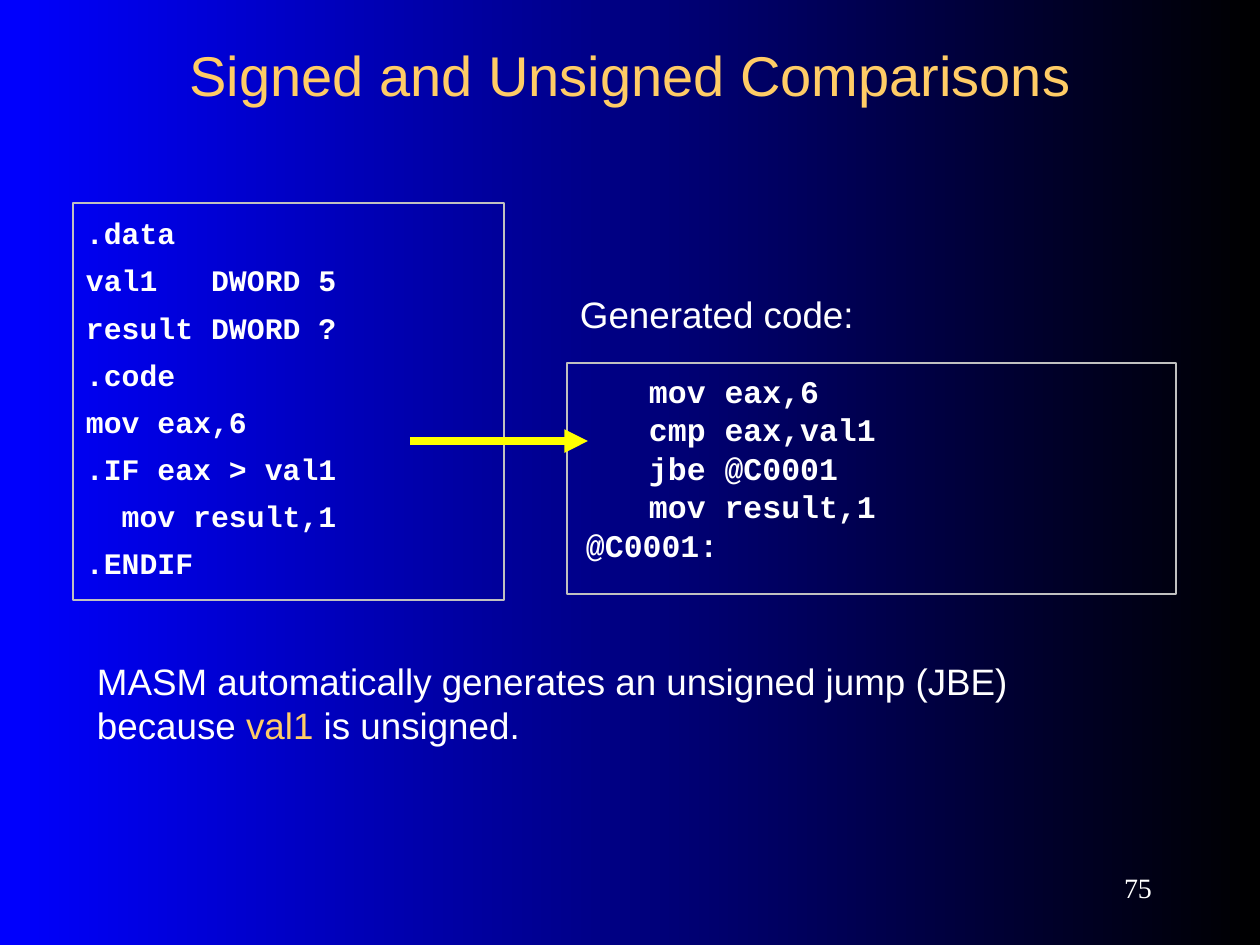
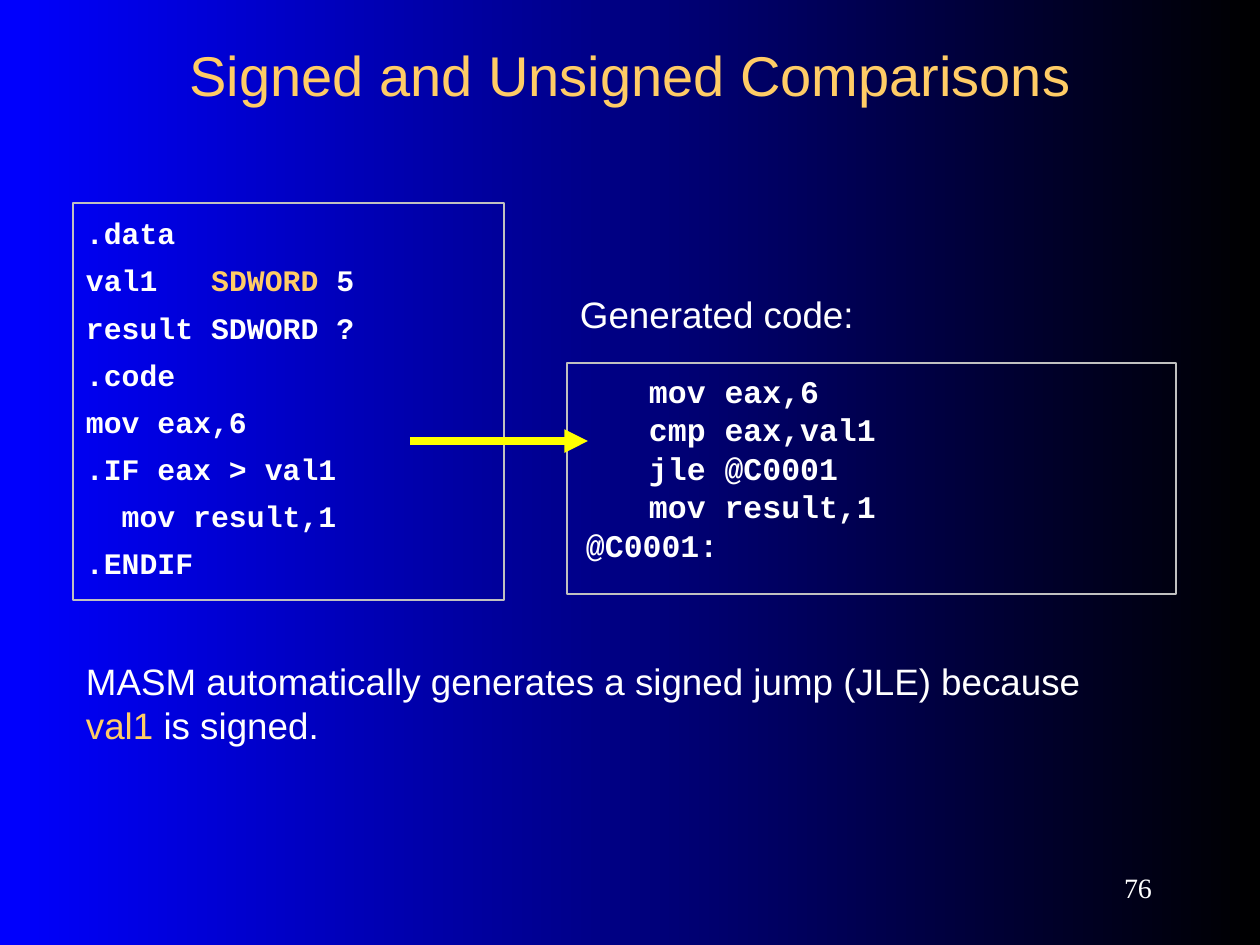
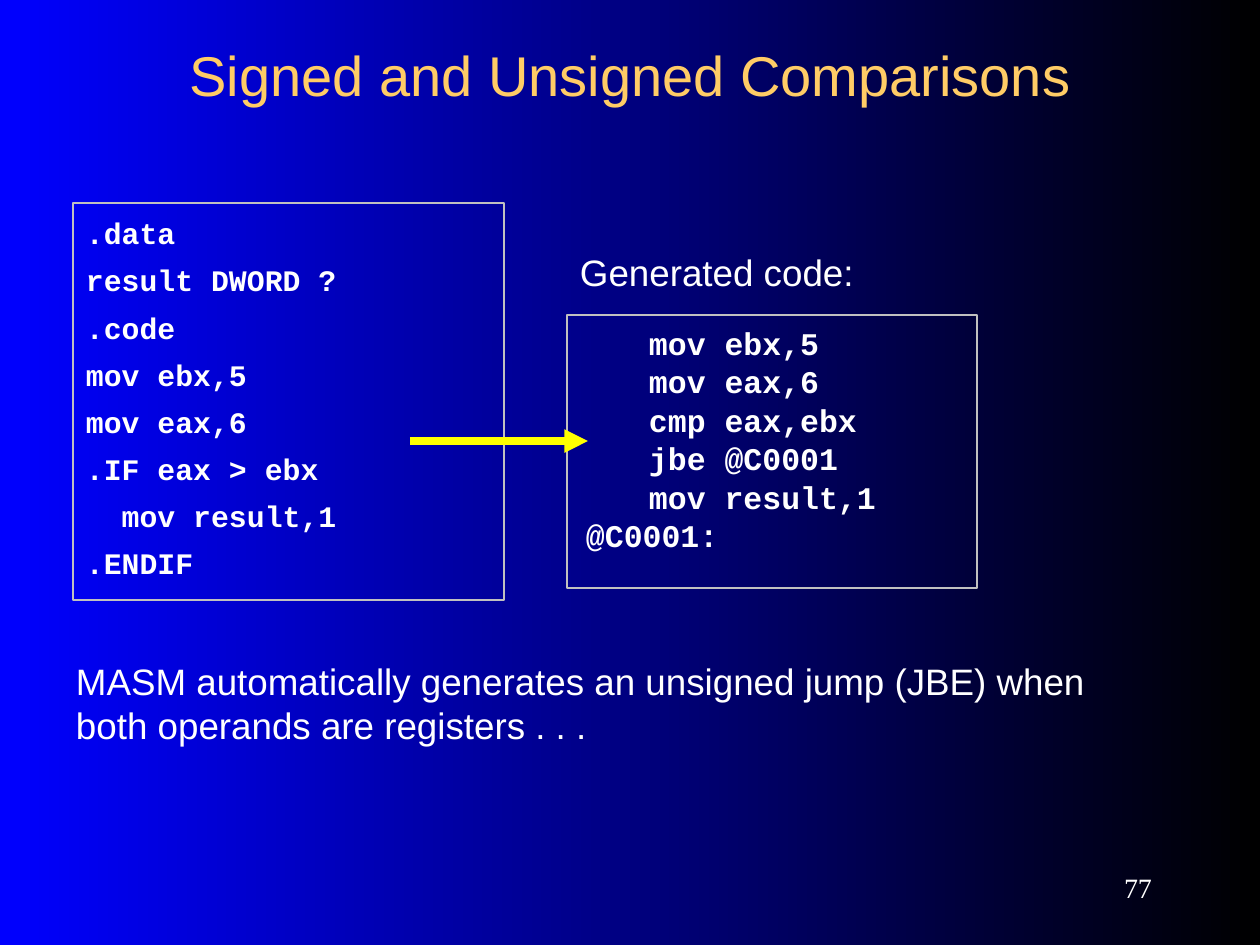
import dataclasses

import pptx
import pptx.dml.color
import pptx.enum.shapes
import pptx.enum.text
import pptx.oxml
import pptx.oxml.ns
import pptx.util

SCALE = 914400 / 126
ANCHOR = pptx.enum.text.MSO_ANCHOR
ALIGN = pptx.enum.text.PP_ALIGN
AUTO_SIZE = pptx.enum.text.MSO_AUTO_SIZE


def px(length):
    return pptx.util.Emu(round(length * SCALE))


def color(value):
    return pptx.dml.color.RGBColor.from_string(value)


def element(tag, **attributes):
    node = pptx.oxml.parse_xml(f"<a:{tag} {pptx.oxml.ns.nsdecls('a')}/>")
    for name, value in attributes.items():
        node.set(name, str(value))
    return node


@dataclasses.dataclass(frozen=True)
class TextStyle:
    size: int
    font: str = "Arial"
    color: str = "FFFFFF"
    bold: bool = False
    align: ALIGN = ALIGN.LEFT
    anchor: ANCHOR = ANCHOR.TOP
    margins: tuple = (13, 19)
    line_spacing: float = 1.0
    space_before: float = 0
    tab: int = 0
    grow: bool = False


@dataclasses.dataclass(frozen=True)
class Theme:
    background: tuple = ("000000", "0000FF")
    accent: str = "FFCC66"
    border: str = "C0C0C0"
    border_width: float = 0.75
    arrow: str = "FFFF00"
    arrow_width: float = 4.5
    title: TextStyle = TextStyle(
        32, color="FFCC66", align=ALIGN.CENTER, anchor=ANCHOR.MIDDLE, margins=(13, 6))
    body: TextStyle = TextStyle(21, grow=True)
    source: TextStyle = TextStyle(
        17, "Courier New", bold=True, line_spacing=0.8, space_before=10.6, grow=True)
    generated: TextStyle = TextStyle(
        18, "Courier New", bold=True, margins=(19, 25),
        line_spacing=0.5, space_before=11.2, tab=63)
    number: TextStyle = TextStyle(
        16, "Times New Roman", align=ALIGN.RIGHT, anchor=ANCHOR.MIDDLE, margins=(13, 6))


@dataclasses.dataclass(frozen=True)
class Comparison:
    data: tuple
    setup: tuple
    operand: str
    jump: str
    note: str
    note_left: int
    label_top: int = 273
    generated_area: tuple = (567, 363, 609, 231)

    def source_lines(self):
        return [".data", *self.data, ".code", *self.setup,
                f".IF eax > {self.operand}", "  mov result,1", ".ENDIF"]

    def generated_lines(self):
        steps = [*self.setup, f"cmp eax,{self.operand}",
                 f"{self.jump} @C0001", "mov result,1"]
        return [f"\t{step}" for step in steps] + ["@C0001:"]


class SlideBuilder:
    def __init__(self, deck, theme):
        self.deck = deck
        self.theme = theme
        self.slide = None

    def start(self, title, number):
        self.slide = self.deck.slides.add_slide(self.deck.slide_layouts[6])
        fill = self.slide.background.fill
        fill.gradient()
        fill.gradient_angle = 180
        for stop, value in zip(fill.gradient_stops, self.theme.background):
            stop.color.rgb = color(value)
        self.text((95, 32, 1071, 84), [title], self.theme.title)
        self.text((1029, 861, 136, 53), [str(number)], self.theme.number)

    def text(self, area, lines, style):
        box = self.slide.shapes.add_textbox(*map(px, area))
        self.fill_frame(box.text_frame, lines, style)

    def code(self, area, lines, style):
        box = self.slide.shapes.add_shape(
            pptx.enum.shapes.MSO_SHAPE.RECTANGLE, *map(px, area))
        box.shadow.inherit = False
        box.fill.background()
        box.line.color.rgb = color(self.theme.border)
        box.line.width = pptx.util.Pt(self.theme.border_width)
        self.fill_frame(box.text_frame, lines, style)

    def arrow(self, left, right, y):
        connector = self.slide.shapes.add_connector(
            pptx.enum.shapes.MSO_CONNECTOR.STRAIGHT, px(left), px(y), px(right), px(y))
        connector.line.color.rgb = color(self.theme.arrow)
        connector.line.width = pptx.util.Pt(self.theme.arrow_width)
        properties = connector._element.spPr
        properties.get_or_add_ln().append(element("tailEnd", type="triangle"))
        properties.append(element("effectLst"))

    def fill_frame(self, frame, lines, style):
        frame.word_wrap = True
        frame.auto_size = AUTO_SIZE.SHAPE_TO_FIT_TEXT if style.grow else AUTO_SIZE.NONE
        frame.vertical_anchor = style.anchor
        frame.margin_left = frame.margin_right = px(style.margins[0])
        frame.margin_top = frame.margin_bottom = px(style.margins[1])
        for index, line in enumerate(lines):
            para = frame.add_paragraph() if index else frame.paragraphs[0]
            para.alignment = style.align
            para.line_spacing = style.line_spacing
            para.space_before = pptx.util.Pt(style.space_before if index else 0)
            if style.tab:
                tabs = element("tabLst")
                tabs.append(element("tab", pos=px(style.tab), algn="l"))
                para._p.get_or_add_pPr().append(tabs)
            self.fill_paragraph(para, line, style)

    def fill_paragraph(self, para, line, style):
        for index, part in enumerate(line.split("*")):
            span = para.add_run()
            span.text = part
            span.font.name = style.font
            span.font.size = pptx.util.Pt(style.size)
            span.font.bold = style.bold
            span.font.color.rgb = color(self.theme.accent if index % 2 else style.color)


COMPARISONS = [
    Comparison(
        data=("val1   DWORD 5", "result DWORD ?"),
        setup=("mov eax,6",), operand="val1", jump="jbe",
        note="MASM automatically generates an unsigned jump (JBE) because *val1* is unsigned.",
        note_left=84),
    Comparison(
        data=("val1   *SDWORD* 5", "result SDWORD ?"),
        setup=("mov eax,6",), operand="val1", jump="jle",
        note="MASM automatically generates a signed jump (JLE) because *val1* is signed.",
        note_left=73),
    Comparison(
        data=("result DWORD ?",),
        setup=("mov ebx,5", "mov eax,6"), operand="ebx", jump="jbe",
        note="MASM automatically generates an unsigned jump (JBE) when "
             "both operands are registers . . .",
        note_left=63, label_top=231, generated_area=(567, 315, 410, 273)),
]


def main():
    deck = pptx.Presentation()
    deck.slide_width, deck.slide_height = px(1260), px(945)
    theme = Theme()
    builder = SlideBuilder(deck, theme)
    for number, comparison in enumerate(COMPARISONS, start=75):
        builder.start("Signed and Unsigned Comparisons", number)
        builder.code(comparison.generated_area, comparison.generated_lines(), theme.generated)
        builder.code((73, 203, 431, 397), comparison.source_lines(), theme.source)
        builder.arrow(410, 588, 441)
        builder.text((567, comparison.label_top, 567, 82), ["Generated code:"], theme.body)
        builder.text((comparison.note_left, 640, 1071, 126), [comparison.note], theme.body)
    deck.save("out.pptx")


if __name__ == "__main__":
    main()
